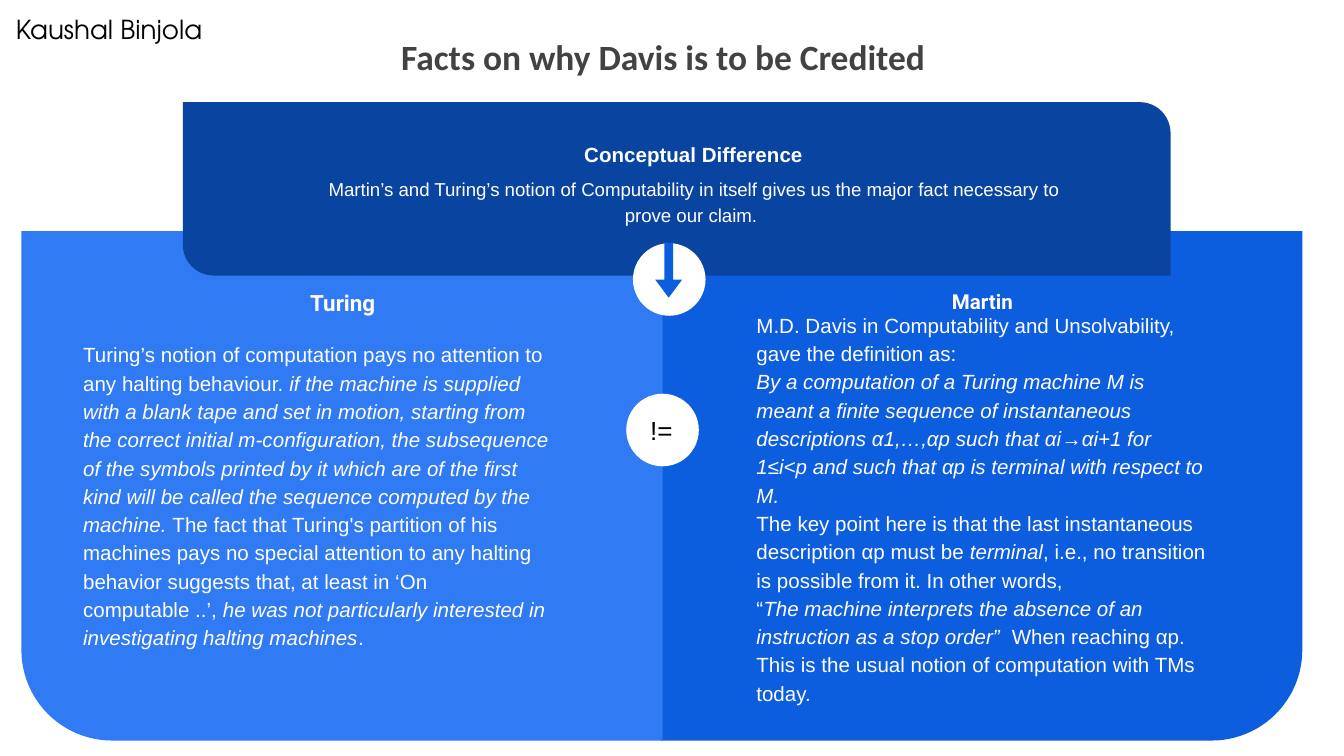
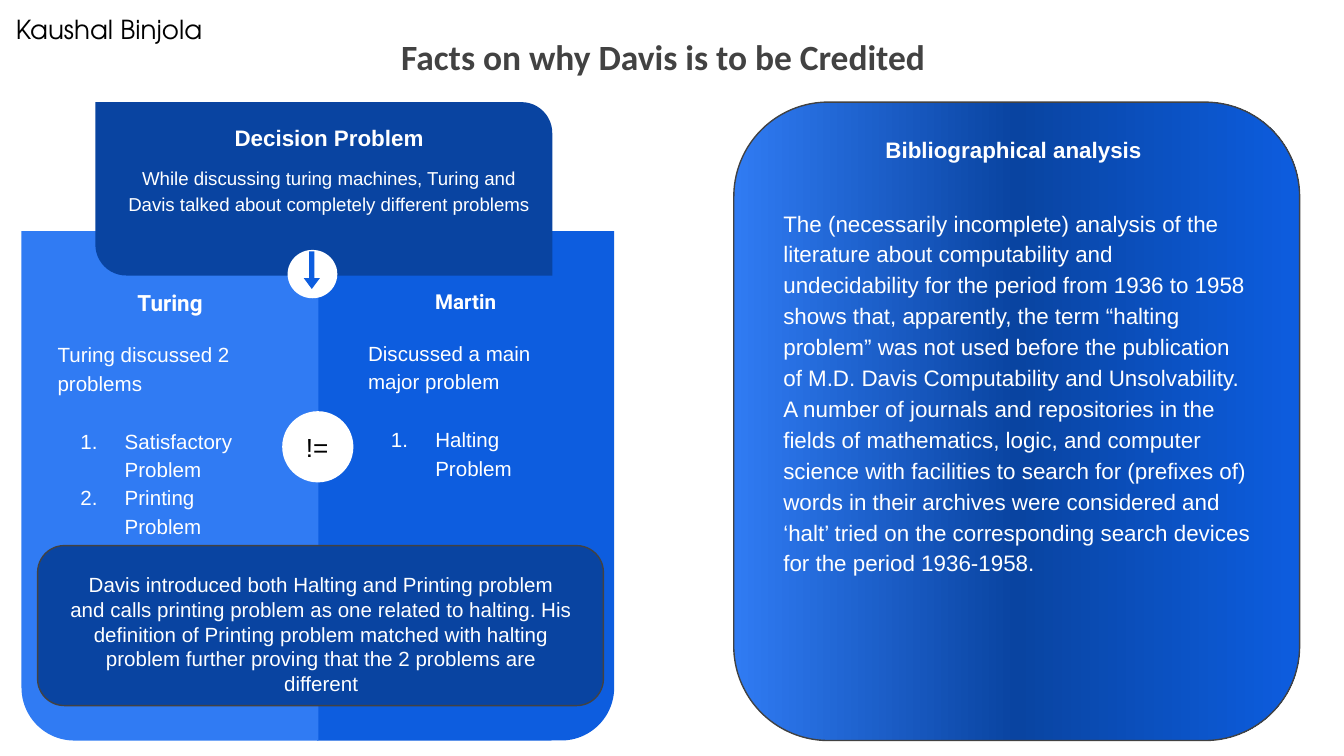
from copy import deepcopy

from pptx import Presentation
from pptx.dml.color import RGBColor
from pptx.enum.shapes import MSO_SHAPE as SHAPE
from pptx.enum.text import MSO_ANCHOR as ANCHOR, MSO_AUTO_SIZE as AUTO, PP_ALIGN as ALIGN
from pptx.oxml.ns import qn
from pptx.util import Inches, Pt

LIGHT, MID, DARK = "307BF3", "0D5DDF", "0944A1"
WHITE, BLACK, GREY = "FFFFFF", "000000", "424242"
TITLE = "Facts on why Davis is to be Credited"
AUTHOR = "Kaushal Binjola"
CORNER = 0.178
PANEL_TOP, PANEL_HEIGHT = 1.72, 3.79
BANNER_TOP, BANNER_HEIGHT = 0.76, 1.29
OVERLAP = 0.01


def rgb(value):
    return RGBColor.from_string(value)


def inches(box):
    return [Inches(v) for v in box]


def set_frame(tf, anchor=ANCHOR.TOP):
    tf.word_wrap = True
    tf.auto_size = AUTO.NONE
    tf.vertical_anchor = anchor
    tf.margin_left = tf.margin_right = Inches(0.1)
    tf.margin_top = tf.margin_bottom = Inches(0.1)


def style(p, size, font="Arial", color=WHITE, bold=False, align=ALIGN.LEFT,
          spacing=None, before=0, after=0):
    p.font.size = Pt(size)
    p.font.name = font
    p.font.bold = bold
    p.font.color.rgb = rgb(color)
    p.alignment = align
    p.space_before, p.space_after = Pt(before), Pt(after)
    if spacing:
        p.line_spacing = spacing


def write_runs(p, runs):
    for text, italic in runs:
        for i, line in enumerate(text.split("\n")):
            if i:
                p.add_line_break()
            if line:
                r = p.add_run()
                r.text = line
                r.font.italic = italic


def number(p):
    pPr = p._p.get_or_add_pPr()
    pPr.set("marL", str(Inches(0.5)))
    pPr.set("indent", str(Inches(-0.33)))
    bullet = pPr.makeelement(qn("a:buAutoNum"), {"type": "arabicPeriod"})
    pPr.find(qn("a:defRPr")).addprevious(bullet)


def add_text(s, box, text, size, **look):
    tf = s.shapes.add_textbox(*inches(box)).text_frame
    set_frame(tf)
    p = tf.paragraphs[0]
    if isinstance(text, str):
        p.text = text
    else:
        write_runs(p, text)
    style(p, size, **look)
    return tf


def add_numbered(s, box, intro, items):
    tf = add_text(s, box, intro, 11, spacing=1.15)
    for i, item in enumerate(items):
        p = tf.add_paragraph()
        p.text = item
        style(p, 11, spacing=1.15, before=0 if i else 16)
        number(p)


def add_box(s, kind, box, fill, adjust=(), line=None):
    sp = s.shapes.add_shape(kind, *inches(box))
    sp.shadow.inherit = False
    for i, value in enumerate(adjust):
        sp.adjustments[i] = value
    if isinstance(fill, str):
        sp.fill.solid()
        sp.fill.fore_color.rgb = rgb(fill)
    else:
        fill_gradient(sp, fill)
    if line:
        sp.line.color.rgb = rgb(line)
        sp.line.width = Pt(0.75)
    else:
        sp.line.fill.background()
    return sp


def fill_gradient(sp, colors):
    sp.fill.gradient()
    sp.fill.gradient_angle = 0
    first = sp._element.spPr.find(".//" + qn("a:gs"))
    for _ in colors[2:]:
        first.addnext(deepcopy(first))
    for i, (stop, color) in enumerate(zip(sp.fill.gradient_stops, colors)):
        stop.color.rgb = rgb(color)
        stop.position = i / (len(colors) - 1)


def add_slide(prs):
    s = prs.slides.add_slide(prs.slide_layouts[5])
    title = s.shapes.title
    title.left, title.top, title.width, title.height = inches((2.26, 0.16, 5.35, 0.52))
    set_frame(title.text_frame)
    p = title.text_frame.paragraphs[0]
    p.text = TITLE
    style(p, 19, "Calibri", GREY, True, ALIGN.CENTER)
    add_text(s, (0.02, 0, 1.74, 0.44), AUTHOR, 14, font="TeX Gyre Adventor", color=BLACK)
    return s


def add_panels(s, width, turing, martin, heading_width):
    left = 0.16
    right = left + width - OVERLAP
    for x, color, adjust in ((right, MID, (CORNER, 0)), (left, LIGHT, (0, CORNER))):
        add_box(s, SHAPE.ROUND_2_DIAG_RECTANGLE, (x, PANEL_TOP, width, PANEL_HEIGHT),
                color, adjust)
    for name, x, size in (("Martin", martin, 11), ("Turing", turing, 12)):
        add_text(s, (x, 2.05, heading_width, 0.36), name, size, font="Roboto",
                 bold=True, align=ALIGN.CENTER)


def add_banner(s, left, width, heading, heading_box, size, text, text_box):
    add_box(s, SHAPE.ROUND_2_DIAG_RECTANGLE, (left, BANNER_TOP, width, BANNER_HEIGHT),
            DARK, (0, CORNER))
    add_text(s, heading_box, heading, size, bold=True, align=ALIGN.CENTER)
    add_text(s, text_box, text, 10, align=ALIGN.CENTER, spacing=1.15, after=16)


def add_arrow_badge(s, circle, arrow):
    add_box(s, SHAPE.OVAL, circle, WHITE)
    add_box(s, SHAPE.RIGHT_ARROW, arrow, MID, (0.32, 0.67)).rotation = 90


def add_unequal_badge(s, x, y, size):
    tf = add_box(s, SHAPE.OVAL, (x, y, size, size), WHITE).text_frame
    set_frame(tf, ANCHOR.MIDDLE)
    p = tf.paragraphs[0]
    p.text = "!="
    style(p, 14, color=BLACK)


def build_conceptual(prs):
    s = add_slide(prs)
    add_panels(s, 4.77, 0.77, 5.53, 3.56)
    add_text(s, (5.53, 2.2, 3.56, 3.01), [
        ("M.D. Davis in Computability and Unsolvability, gave the definition as:\n", False),
        ("By a computation of a Turing machine M is meant a finite sequence of "
         "instantaneous descriptions α1,…,αp such that αi→αi+1 for 1≤i<p and such "
         "that αp is terminal with respect to M.\n", True),
        ("The key point here is that the last instantaneous description αp must be ", False),
        ("terminal", True),
        (", i.e., no transition is possible from it. In other words,\n“", False),
        ("The machine interprets the absence of an instruction as a stop order”", True),
        ("  When reaching αp. This is the usual notion of computation with TMs today.", False),
    ], 11, spacing=1.15, before=12)
    add_text(s, (0.52, 2.42, 3.75, 3.2), [
        ("Turing’s notion of computation pays no attention to any halting behaviour. ", False),
        ("if the machine is supplied with a blank tape and set in motion, starting from "
         "the correct initial m-configuration, the subsequence of the symbols printed by "
         "it which are of the first kind will be called the sequence computed by the "
         "machine. ", True),
        ("The fact that Turing's partition of his machines pays no special attention to "
         "any halting behavior suggests that, at least in ‘On computable ..’, ", False),
        ("he was not particularly interested in investigating halting machines", True),
        (".", False),
    ], 11, spacing=1.15)
    add_banner(s, 1.36, 7.35, "Conceptual Difference", (2.2, 0.96, 5.92, 0.38), 11,
               "Martin’s and Turing’s notion of Computability in itself gives us the "
               "major fact necessary to prove our claim. ", (2.2, 1.2, 5.92, 0.55))
    add_arrow_badge(s, (4.71, 1.81, 0.54, 0.54), (4.77, 1.91, 0.41, 0.2))
    add_unequal_badge(s, 4.66, 2.93, 0.54)


def build_decision(prs):
    s = add_slide(prs)
    add_panels(s, 2.21, 0.44, 2.64, 1.65)
    add_numbered(s, (2.64, 2.41, 1.65, 3.01), "Discussed a main major problem",
                 ["Halting Problem"])
    add_numbered(s, (0.33, 2.42, 1.73, 3.2), "Turing discussed 2 problems",
                 ["Satisfactory Problem", "Printing Problem"])
    add_banner(s, 0.71, 3.4, "Decision Problem", (1.08, 0.82, 2.74, 0.38), 12,
               "While discussing turing machines, Turing and Davis talked about "
               "completely different problems", (0.82, 1.12, 3.25, 0.55))
    add_arrow_badge(s, (2.14, 1.86, 0.37, 0.36), (2.18, 1.95, 0.28, 0.12))
    add_unequal_badge(s, 2.1, 3.06, 0.53)
    add_box(s, SHAPE.ROUNDED_RECTANGLE, (0.28, 4.06, 4.21, 1.19), DARK, (0.167,), GREY)
    add_text(s, (0.42, 4.16, 3.94, 1.13),
             "Davis introduced both Halting and Printing problem and calls printing "
             "problem as one related to halting. His definition of Printing problem "
             "matched with halting problem further proving that the 2 problems are "
             "different", 11, align=ALIGN.CENTER)
    add_box(s, SHAPE.ROUNDED_RECTANGLE, (5.46, BANNER_TOP, 4.21, 4.75),
            (LIGHT, DARK, MID), (0.167,), GREY)
    add_text(s, (6.49, 0.88, 2.16, 0.84), "Bibliographical analysis", 12, bold=True,
             spacing=1.15, before=12)
    add_text(s, (5.73, 1.43, 3.68, 3.39),
             "The (necessarily incomplete) analysis of the literature about computability "
             "and undecidability for the period from 1936 to 1958 shows that, apparently, "
             "the term “halting problem” was not used before the publication of M.D. Davis "
             "Computability and Unsolvability. A number of journals and repositories in the "
             "fields of mathematics, logic, and computer science with facilities to search "
             "for (prefixes of) words in their archives were considered and ‘halt’ tried on "
             "the corresponding search devices for the period 1936-1958.",
             12, spacing=1.15, before=12)


def main():
    prs = Presentation()
    prs.slide_width = Inches(10)
    prs.slide_height = prs.slide_width * 9 // 16
    build_conceptual(prs)
    build_decision(prs)
    prs.save("out.pptx")


if __name__ == "__main__":
    main()
